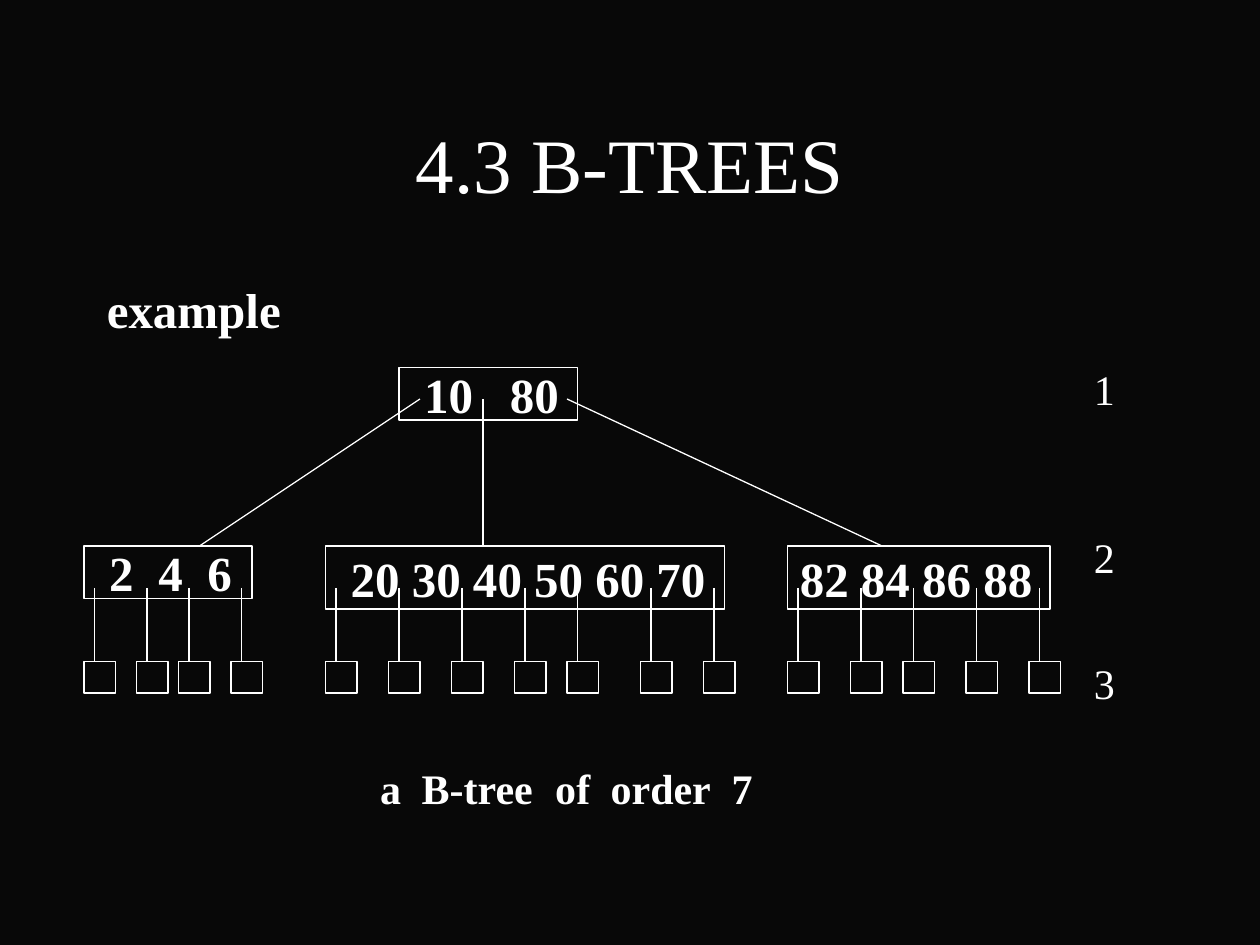
from dataclasses import dataclass

from lxml import etree
from pptx import Presentation, util as u
from pptx.dml.color import RGBColor
from pptx.enum import shapes, text
from pptx.oxml import ns


@dataclass(frozen=True)
class Theme:
    background = RGBColor(0x08, 0x08, 0x08)
    ink = RGBColor(0xFF, 0xFF, 0xFF)
    font = "Times New Roman"
    title = u.Pt(44)
    key = u.Pt(28)
    label = u.Pt(24)
    line = u.Pt(0.75)


THEME = Theme()
LEFT = text.PP_ALIGN.LEFT
MIDDLE = text.MSO_ANCHOR.MIDDLE
GRID_PER_INCH = 12
LEAF_TOP, LEAF_SIZE, POINTER_TOP = 63, 3, 56

NODES = [
    ("10\t80", (38, 35, 17, 5), 0.2, [0.68]),
    ("2\t4\t6", (8, 52, 16, 5), 0.2, [0.39, 0.78]),
    ("20 30 40 50 60 70", (31, 52, 38, 6), 0.2, []),
    ("82 84 86 88", (75, 52, 25, 6), 0.1, []),
]
BRANCHES = [(40, 38, 19, 52), (46, 38, 46, 52), (54, 38, 84, 52)]
LEAVES = [8, 13, 17, 22, 31, 37, 43, 49, 54, 61, 67, 75, 81, 86, 92, 98]
LEVELS = [("1", 34), ("2", 50), ("3", 62)]


def grid(*steps):
    return [u.Inches(step / GRID_PER_INCH) for step in steps]


def apply_format(target, values):
    for name, value in values.items():
        setattr(target, name, value)


def add_tab_stops(paragraph, stops):
    if stops:
        properties = paragraph._p.get_or_add_pPr()
        tab_list = etree.SubElement(properties, ns.qn("a:tabLst"))
        for stop in stops:
            etree.SubElement(tab_list, ns.qn("a:tab"), pos=str(u.Inches(stop)), algn="l")


def write_text(shape, content, size, bold=False, align=LEFT, inset=0.1, stops=(), **frame_format):
    frame = shape.text_frame
    apply_format(frame, {"word_wrap": True, "margin_left": u.Inches(inset), **frame_format})
    frame.text = content
    paragraph = frame.paragraphs[0]
    paragraph.alignment = align
    add_tab_stops(paragraph, stops)
    apply_format(paragraph.font, {"name": THEME.font, "size": size, "bold": bold})
    paragraph.font.color.rgb = THEME.ink


def add_label(slide, content, box, size, **options):
    write_text(slide.shapes.add_textbox(*grid(*box)), content, size, **options)


def add_box(slide, box):
    shape = slide.shapes.add_shape(shapes.MSO_SHAPE.RECTANGLE, *grid(*box))
    shape.shadow.inherit = False
    shape.fill.background()
    shape.line.color.rgb = THEME.ink
    shape.line.width = THEME.line
    return shape


def add_node(slide, keys, box, inset, stops):
    write_text(add_box(slide, box), keys, THEME.key, bold=True, inset=inset,
               stops=stops, vertical_anchor=MIDDLE, word_wrap=False)


def add_line(slide, ends):
    line = slide.shapes.add_connector(shapes.MSO_CONNECTOR.STRAIGHT, *grid(*ends))
    line.line.color.rgb = THEME.ink
    line.line.width = THEME.line
    etree.SubElement(line._element.spPr, ns.qn("a:effectLst"))


def add_leaf(slide, left):
    add_box(slide, (left, LEAF_TOP, LEAF_SIZE, LEAF_SIZE))
    add_line(slide, (left + 1, POINTER_TOP, left + 1, LEAF_TOP))


def main():
    presentation = Presentation()
    presentation.slide_width = u.Inches(10)
    presentation.slide_height = u.Inches(7.5)
    slide = presentation.slides.add_slide(presentation.slide_layouts[6])
    slide.background.fill.solid()
    slide.background.fill.fore_color.rgb = THEME.background

    add_label(slide, "4.3 B-TREES", (9, 8, 102, 15), THEME.title,
              align=text.PP_ALIGN.CENTER, vertical_anchor=MIDDLE)
    add_label(slide, "example", (9, 26, 102, 54), THEME.key, bold=True)
    for node in NODES:
        add_node(slide, *node)
    for branch in BRANCHES:
        add_line(slide, branch)
    for left in LEAVES:
        add_leaf(slide, left)
    for level, top in LEVELS:
        add_label(slide, level, (103, top, 4, 6), THEME.label)
    add_label(slide, "a\tB-tree\tof\torder\t7", (29, 72, 56, 6), THEME.label,
              bold=True, inset=0.6, stops=[0.33, 1.39, 1.83, 2.79])
    presentation.save("out.pptx")


if __name__ == "__main__":
    main()
